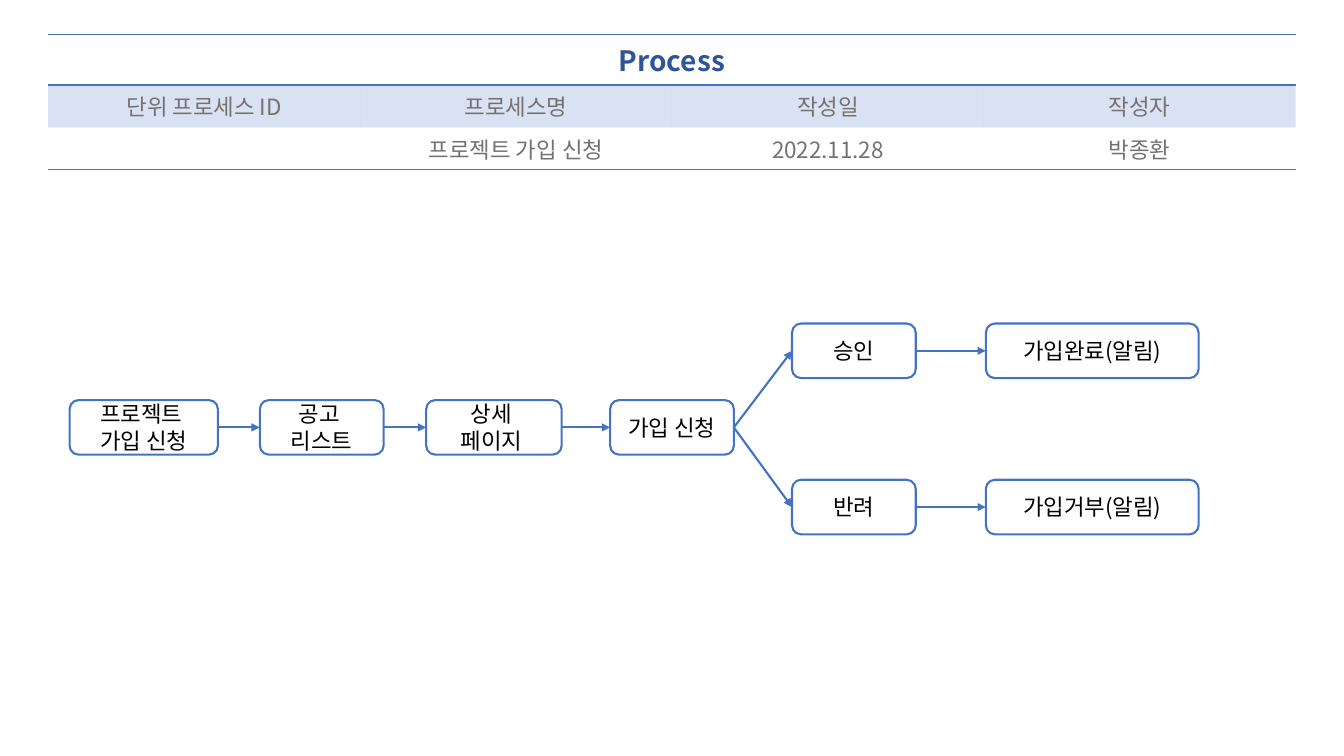
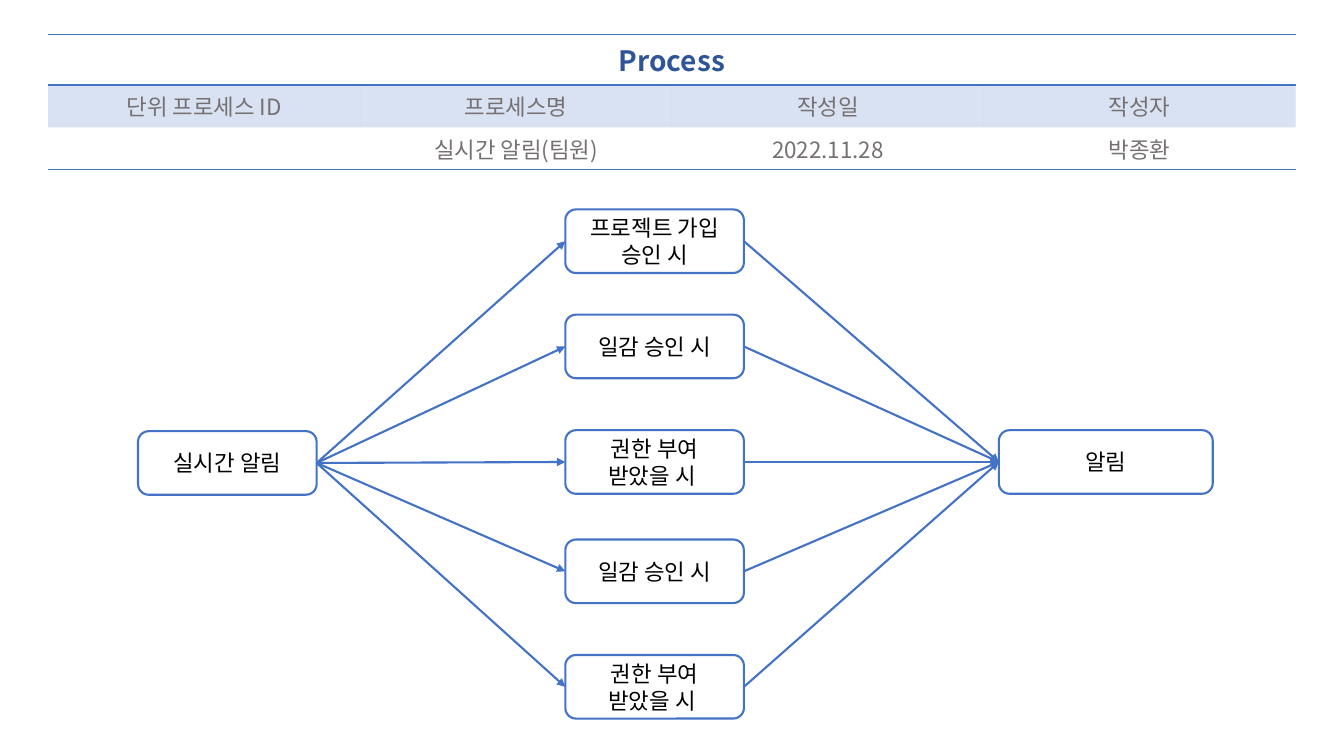
from lxml import etree
from pptx import Presentation
from pptx import util as u
from pptx.dml.color import RGBColor
from pptx.enum import shapes, text
from pptx.oxml import ns

FONT = "Noto Sans CJK KR"
BLUE = RGBColor(0x44, 0x72, 0xC4)
NAVY = RGBColor(0x2F, 0x55, 0x97)
GRAY = RGBColor(0x76, 0x71, 0x71)
BLACK = RGBColor(0, 0, 0)
WHITE = RGBColor(0xFF, 0xFF, 0xFF)
PLAIN_TABLE = "{2D5ABB26-0587-4C30-8999-92F81FD0307C}"
LEFT, RIGHT = 1, 3
HEADINGS = ["단위 프로세스 ID", "프로세스명", "작성일", "작성자"]


def add_child(parent, tag, **attributes):
    """Append a DrawingML element to its parent."""
    return etree.SubElement(parent, ns.qn(tag), attributes)


def write(frame, content, size=16, color=BLACK, bold=False):
    """Fill a text frame with centred paragraphs, one per line."""
    for index, line in enumerate(content.split("\n")):
        para = frame.add_paragraph() if index else frame.paragraphs[0]
        para.alignment = text.PP_ALIGN.CENTER
        if not line:
            continue
        span = para.add_run()
        span.text = line
        span.font.name = FONT
        span.font.size = u.Pt(size)
        span.font.bold = bold
        span.font.color.rgb = color
        add_child(span.font._element, "a:ea", typeface=FONT)


class ProcessDeck:
    """Hold the deck style and the current slide."""

    def __init__(self):
        """Start a widescreen deck."""
        self.deck = Presentation()
        self.deck.slide_width, self.deck.slide_height = u.Pt(960), u.Pt(540)
        self.page = None

    def add_page(self, process):
        """Open a slide headed by the process table."""
        self.page = self.deck.slides.add_slide(self.deck.slide_layouts[6])
        frame = self.page.shapes.add_table(
            3, 4, u.Pt(34.4), u.Pt(24.4), u.Pt(891.2), u.Pt(87.8))
        table = frame.table
        table.first_row = table.horz_banding = False
        table._tbl.tblPr.find(ns.qn("a:tableStyleId")).text = PLAIN_TABLE
        for row, height in zip(table.rows, (33, 27.4, 27.4)):
            row.height = u.Pt(height)
        for column in table.columns:
            column.width = u.Pt(222.8)
        table.cell(0, 0).merge(table.cell(0, 3))
        write(table.cell(0, 0).text_frame, "Process", size=20, color=NAVY, bold=True)
        details = ["", process, "2022.11.28", "박종환"]
        for index, (heading, detail) in enumerate(zip(HEADINGS, details)):
            title, label, value = (table.cell(row, index) for row in range(3))
            write(label.text_frame, heading, color=GRAY)
            write(value.text_frame, detail, color=GRAY)
            self.rule(title, "a:lnT", "a:lnB")
            self.rule(value, "a:lnB")
            self.tint(label)
            title.fill.background()
            value.fill.background()

    def rule(self, cell, *sides):
        """Draw border lines on the given sides of a cell."""
        for side in sides:
            line = add_child(cell._tc.get_or_add_tcPr(), side, w=str(u.Pt(1)))
            add_child(add_child(line, "a:solidFill"), "a:srgbClr", val=str(BLUE))

    def tint(self, cell):
        """Fill a cell with translucent blue."""
        cell.fill.solid()
        cell.fill.fore_color.rgb = BLUE
        color = cell._tc.tcPr.find(".//" + ns.qn("a:srgbClr"))
        add_child(color, "a:alpha", val="20000")

    def box(self, content, left, top, width, height):
        """Add a rounded step box."""
        box = self.page.shapes.add_shape(
            shapes.MSO_SHAPE.ROUNDED_RECTANGLE,
            u.Pt(left), u.Pt(top), u.Pt(width), u.Pt(height))
        box.shadow.inherit = False
        box.fill.solid()
        box.fill.fore_color.rgb = WHITE
        box.line.color.rgb = BLUE
        box.line.width = u.Pt(1.5)
        box.text_frame.word_wrap = True
        box.text_frame.vertical_anchor = text.MSO_ANCHOR.MIDDLE
        write(box.text_frame, content)
        return box

    def arrow(self, start, end):
        """Join the right side of one box to the left side of another."""
        arrow = self.page.shapes.add_connector(
            shapes.MSO_CONNECTOR.STRAIGHT, 0, 0, 0, 0)
        arrow.begin_connect(start, RIGHT)
        arrow.end_connect(end, LEFT)
        arrow.line.color.rgb = BLUE
        arrow.line.width = u.Pt(1.5)
        add_child(arrow.line._get_or_add_ln(), "a:tailEnd", type="triangle")
        add_child(arrow._element.spPr, "a:effectLst")


def add_join_page(slides):
    """Build the project joining flow."""
    slides.add_page("프로젝트 가입 신청")
    height = 39
    steps = [slides.box(content, left, 285.8, width, height)
             for content, left, width in (
                 ("프로젝트 \n가입 신청", 49.7, 106),
                 ("공고 \n리스트", 185.6, 88.4),
                 ("상세 \n페이지 ", 304.4, 96.8),
                 ("가입 신청", 435.8, 88.4))]
    for start, end in zip(steps, steps[1:]):
        slides.arrow(start, end)
    for decision, outcome, top in (("승인", "가입완료(알림)", 231.1),
                                   ("반려", "가입거부(알림)", 342.7)):
        choice = slides.box(decision, 565.7, top, 88.4, height)
        result = slides.box(outcome, 704.2, top, 152, height)
        slides.arrow(steps[-1], choice)
        slides.arrow(choice, result)


def add_alert_page(slides):
    """Build the real-time alert flow."""
    slides.add_page("실시간 알림(팀원)")
    width, height = 127.6, 45.4
    source = slides.box("실시간 알림", 98.6, 308, width, height)
    alert = slides.box("알림", 713.5, 307.3, 152.8, height)
    for content, top in (("프로젝트 가입 승인 시", 149.6),
                         ("일감 승인 시", 224.8),
                         ("권한 부여 받았을 시 ", 307.3),
                         ("일감 승인 시", 385.4),
                         ("권한 부여 받았을 시 ", 467.9)):
        event = slides.box(content, 403.8, top, width, height)
        slides.arrow(source, event)
        slides.arrow(event, alert)


def main():
    """Build and save the deck."""
    slides = ProcessDeck()
    add_join_page(slides)
    add_alert_page(slides)
    slides.deck.save("out.pptx")


if __name__ == "__main__":
    main()
